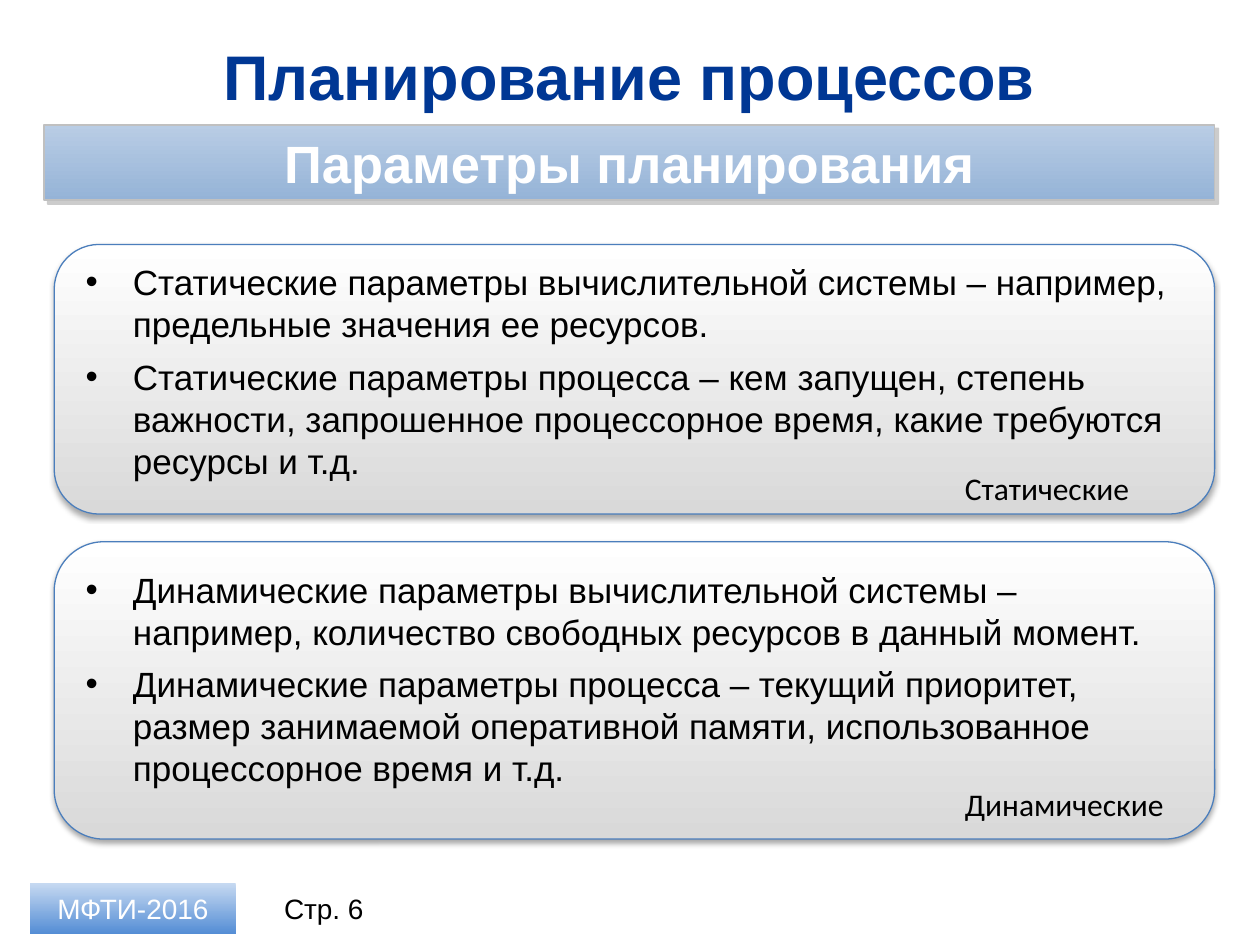
import pptx
import pptx.util
import pptx.dml.color
import pptx.enum.shapes
import pptx.enum.text
import pptx.oxml
import pptx.oxml.ns

COLS, ROWS = 100, 75
UNIT = pptx.util.Inches(0.1)
KIND = pptx.enum.shapes.MSO_SHAPE
ALIGN = pptx.enum.text.PP_ALIGN
ANCHOR = pptx.enum.text.MSO_ANCHOR
FIT = pptx.enum.text.MSO_AUTO_SIZE


def grid(num):
    return int(num * UNIT)


def tint(color, code):
    color.rgb = pptx.dml.color.RGBColor.from_string(code)


def write(shape, lines, size=20, font="Arial", color="000000", bold=False,
          align=ALIGN.LEFT, anchor=ANCHOR.TOP, pad=(1, 0.5), bullet=False):
    frame = shape.text_frame
    frame.auto_size = FIT.NONE
    frame.word_wrap = True
    frame.vertical_anchor = anchor
    frame.margin_left = frame.margin_right = grid(pad[0])
    frame.margin_top = frame.margin_bottom = grid(pad[1])
    for num, line in enumerate(lines):
        para = frame.paragraphs[0] if num == 0 else frame.add_paragraph()
        para.alignment = align
        para.space_before = pptx.util.Pt(6 if num else 0)
        if bullet:
            props = para._p.get_or_add_pPr()
            props.set("marL", str(grid(3.75)))
            props.set("indent", str(grid(-3.75)))
            mark = pptx.oxml.parse_xml(
                f'<a:buChar {pptx.oxml.ns.nsdecls("a")} char="•"/>')
            props.append(mark)
        run = para.add_run()
        run.text = line
        run.font.size = pptx.util.Pt(size)
        run.font.name = font
        run.font.bold = bold
        tint(run.font.color, color)


def shade(shape, code, alpha, blur, dist, angle):
    shape.shadow.inherit = False
    glow = pptx.oxml.parse_xml(
        f'<a:outerShdw {pptx.oxml.ns.nsdecls("a")} '
        f'blurRad="{pptx.util.Pt(blur)}" dist="{pptx.util.Pt(dist)}" '
        f'dir="{angle * 60000}" algn="tl" rotWithShape="0">'
        f'<a:srgbClr val="{code}"><a:alpha val="{alpha * 1000}"/></a:srgbClr>'
        '</a:outerShdw>')
    shape._element.spPr.find(pptx.oxml.ns.qn("a:effectLst")).append(glow)


def block(slide, kind, box, top, base, edge=None, width=1):
    shape = slide.shapes.add_shape(kind, *map(grid, box))
    shape.fill.gradient()
    shape.fill.gradient_angle = 270
    for stop, place, code in zip(shape.fill.gradient_stops, (0, 1), (top, base)):
        stop.position = place
        tint(stop.color, code)
    if edge:
        tint(shape.line.color, edge)
        shape.line.width = pptx.util.Pt(width)
    else:
        shape.line.fill.background()
    shape.shadow.inherit = False
    return shape


def move(shape, box):
    shape.left, shape.top, shape.width, shape.height = map(grid, box)


def head(slide, box, title, topic):
    left, top, wide, high = box
    name = slide.shapes.title
    move(name, (left, top, wide, 6.8))
    write(name, [title], size=36, color="003794", bold=True,
          align=ALIGN.CENTER, anchor=ANCHOR.MIDDLE)
    band = block(slide, KIND.RECTANGLE, (left, top + high - 6, wide, 6),
                 "B9CDE5", "95B3D7", "C0C0C0")
    shade(band, "808080", 40, 0, 3, 45)
    write(band, [topic], size=30, color="FFFFFF", bold=True,
          align=ALIGN.CENTER, anchor=ANCHOR.MIDDLE, pad=(2.4, 0.4))


def panel(slide, box, holder, points, inset, label, drop):
    left, top, wide, high = box
    card = block(slide, KIND.ROUNDED_RECTANGLE, box,
                 "FFFFFF", "D9D9D9", "4B7EBC", 0.75)
    shade(card, "000000", 35, 3.1, 1.8, 90)
    move(holder, (left + 1.5, top + inset, wide - 3.8, 18.7))
    slide.shapes.element.append(holder.element)
    write(holder, points, bullet=True)
    tag = slide.shapes.add_textbox(
        *map(grid, (left + 71.3, top + high - drop, 18.5, 4)))
    write(tag, [label], size=18, font="Calibri")


def foot(slide, box, source, page):
    left, top, wide, high = box
    badge = block(slide, KIND.RECTANGLE, (left, top, 16.3, high),
                  "C6D9F1", "558ED5")
    note = slide.shapes.add_textbox(
        *map(grid, (left + wide - 10.8, top, 10.8, high)))
    for shape, text, color in ((badge, source, "FFFFFF"), (note, page, "000000")):
        write(shape, [text], size=16, color=color,
              align=ALIGN.CENTER, anchor=ANCHOR.MIDDLE)


def main():
    deck = pptx.Presentation()
    deck.slide_width, deck.slide_height = grid(COLS), grid(ROWS)
    slide = deck.slides.add_slide(deck.slide_layouts[3])
    first, second = list(slide.placeholders)[1:3]
    head(slide, (3.5, 2.6, 92.9, 13.3),
         "Планирование процессов", "Параметры планирования")
    panel(slide, (4.3, 19.4, 92.1, 21.4), first, [
        "Статические параметры вычислительной системы – например, "
        "предельные значения ее ресурсов.",
        "Статические параметры процесса – кем запущен, степень важности, "
        "запрошенное процессорное время, какие требуются ресурсы и т.д.",
    ], 0.8, "Статические", 4.1)
    panel(slide, (4.3, 43, 92.1, 23.6), second, [
        "Динамические параметры вычислительной системы – например, "
        "количество свободных ресурсов в данный момент.",
        "Динамические параметры процесса – текущий приоритет, размер "
        "занимаемой оперативной памяти, использованное процессорное время и т.д.",
    ], 1.6, "Динамические", 4.8)
    foot(slide, (2.4, 70.1, 28.7, 4), "МФТИ-2016", "Стр. 6")
    deck.save("out.pptx")


if __name__ == "__main__":
    main()
